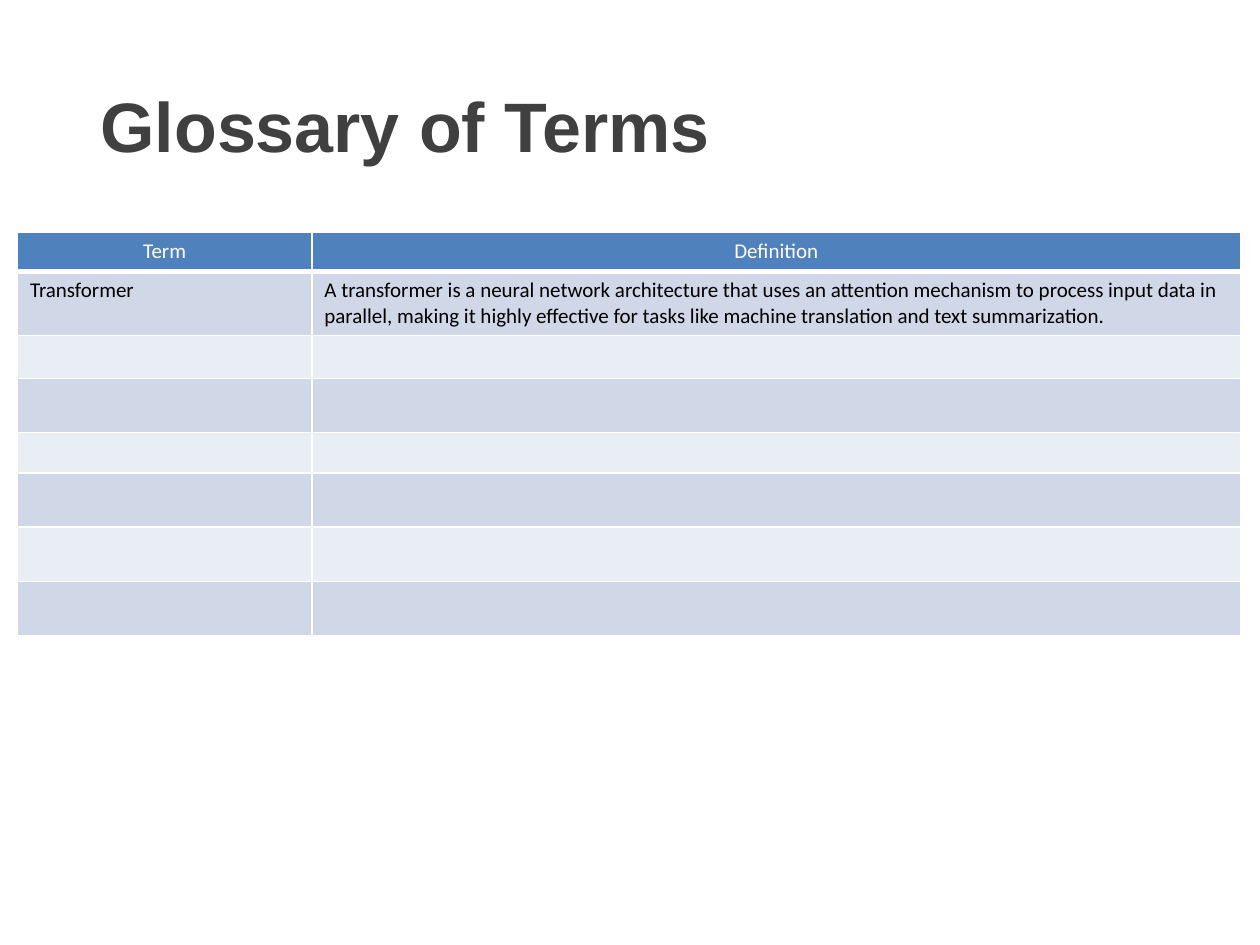
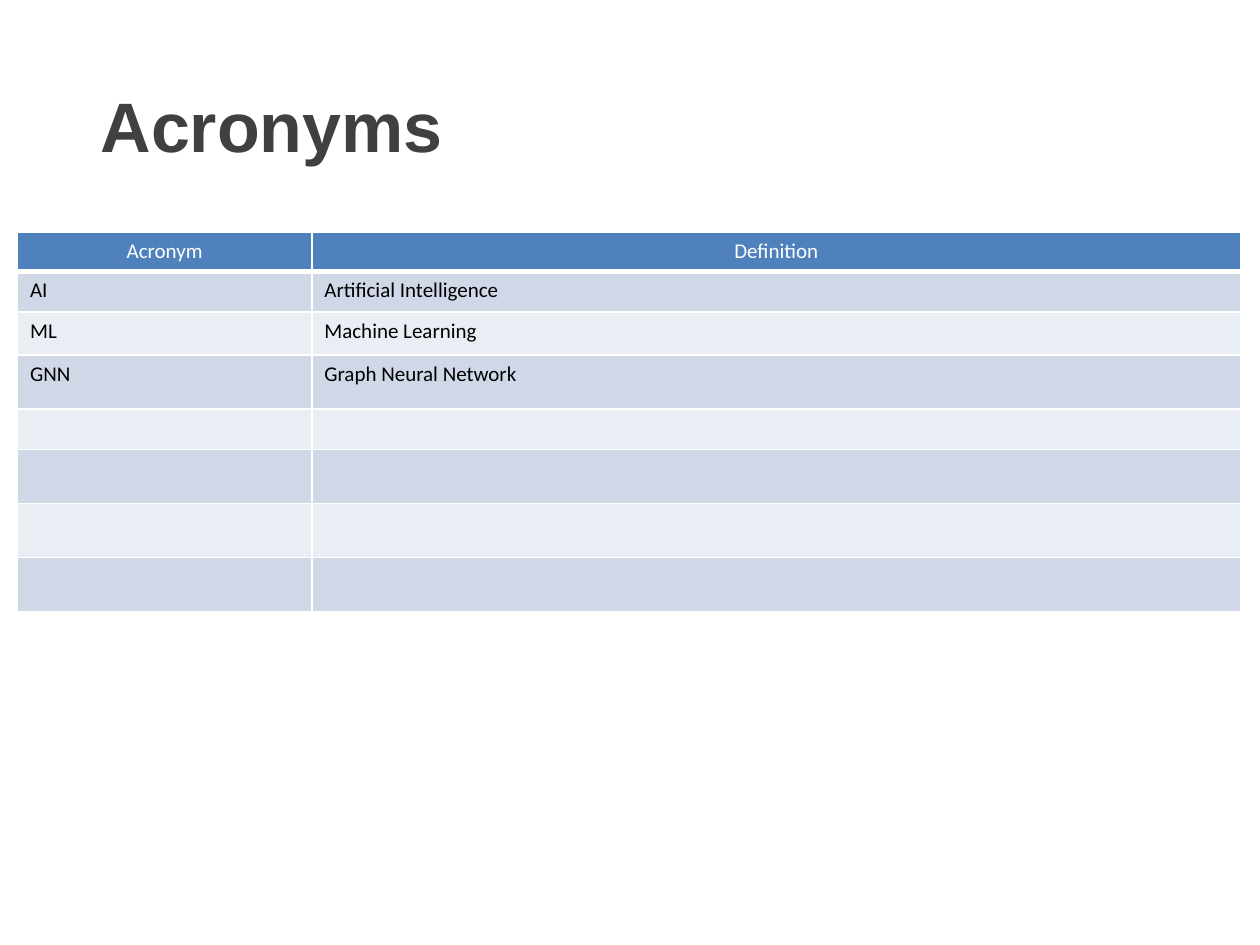
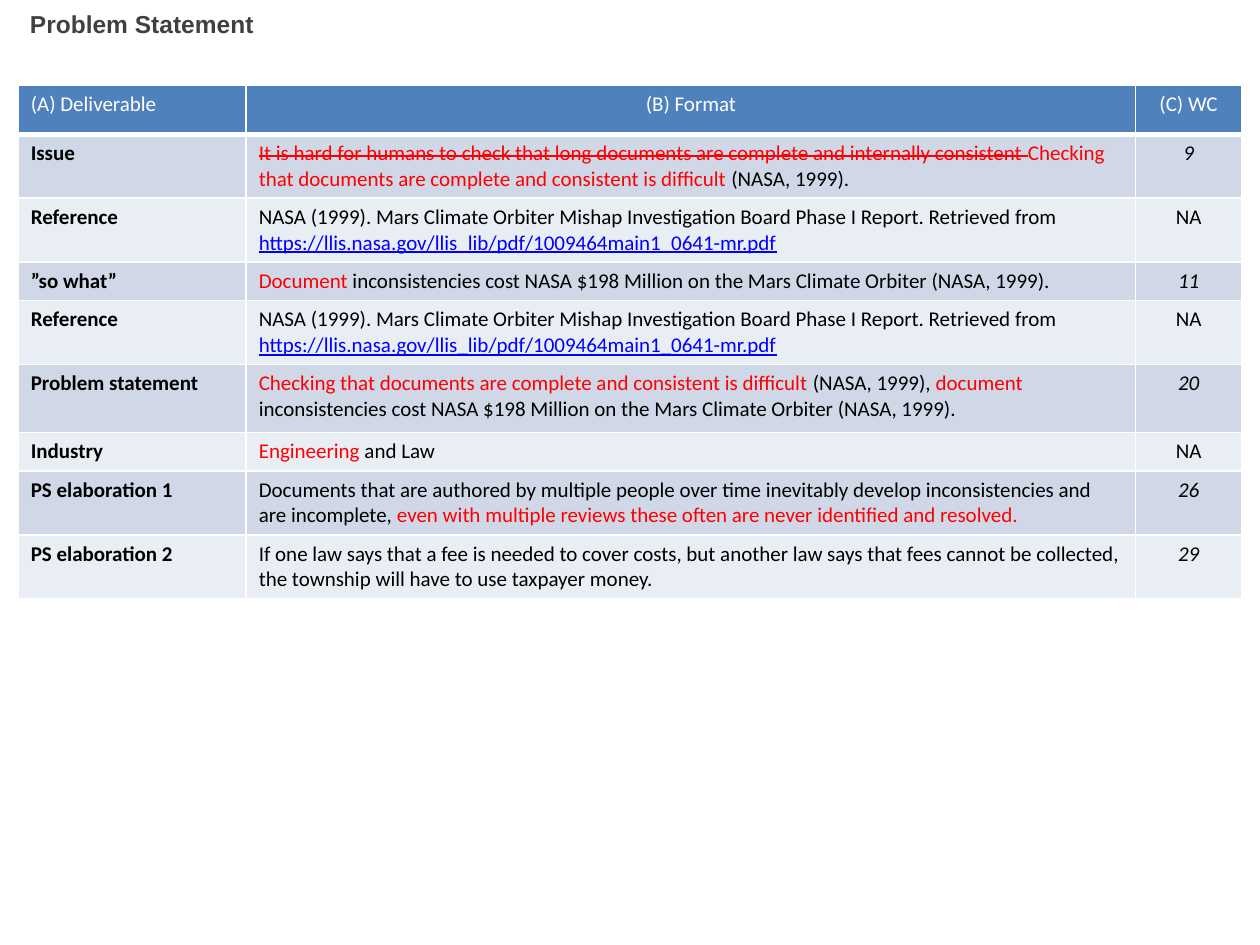
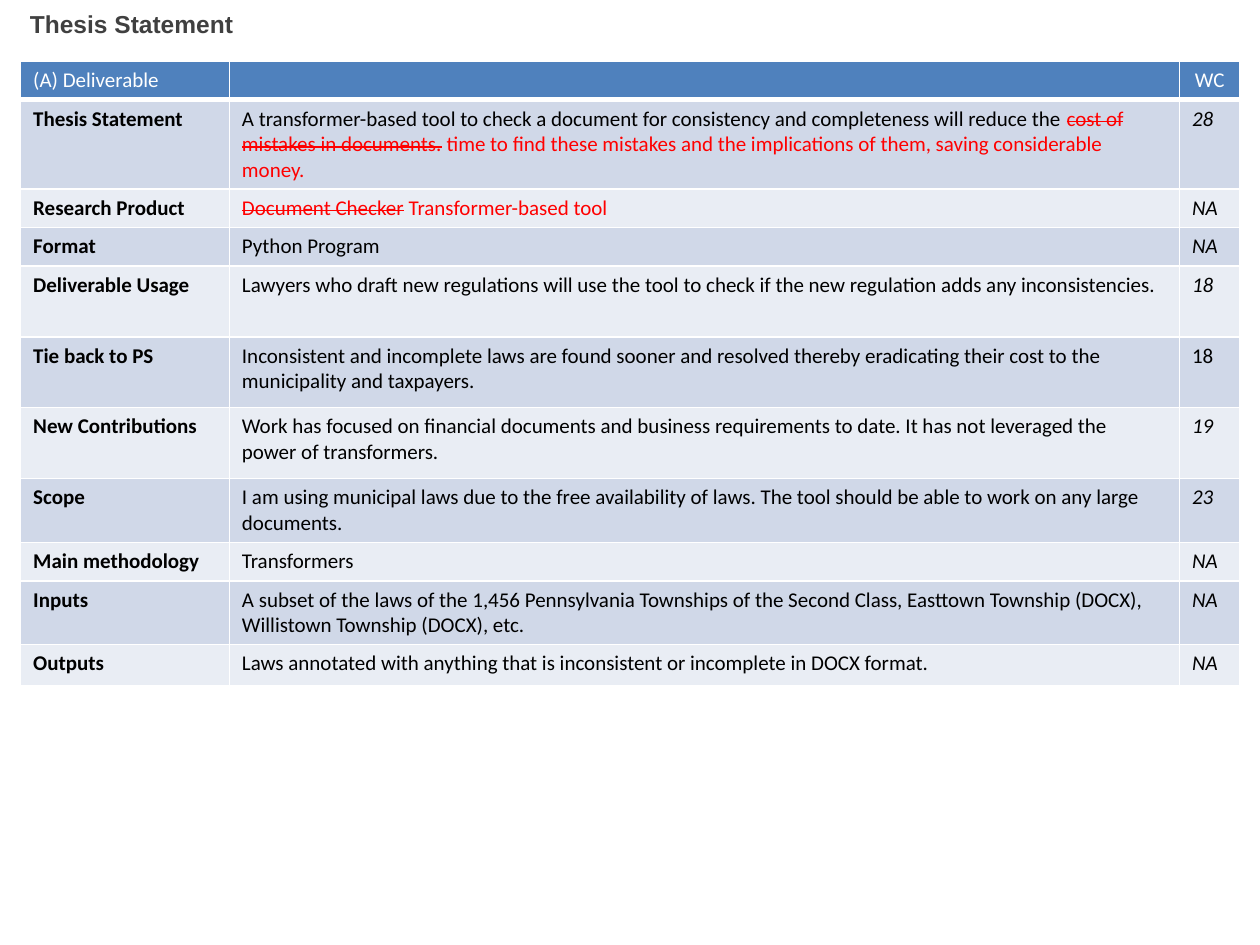
import dataclasses

import lxml.etree
import pptx
import pptx.dml.color
import pptx.enum.text
import pptx.oxml.ns
import pptx.util

Pt = pptx.util.Pt
RGB = pptx.dml.color.RGBColor.from_string
qn = pptx.oxml.ns.qn
ALIGN = pptx.enum.text.PP_ALIGN


@dataclasses.dataclass(frozen=True)
class Theme:
    title: str = "404040"
    header: str = "4F81BD"
    bands: tuple = ("D0D8E8", "E9EDF4")
    white: str = "FFFFFF"
    black: str = "000000"
    changed: str = "FF0000"
    link: str = "0000FF"
    title_font: str = "Arial"
    cell_font: str = "Calibri"
    large_title: int = 40
    small_title: int = 14
    cell_size: int = 12


theme = Theme()

# Run formats that a cell may name
STYLES = {
    "plain": {},
    "new": {"color": theme.changed},
    "cut": {"color": theme.changed, "strike": True},
    "link": {"color": theme.link, "underline": True},
    "em": {"italic": True},
}


def add_text(p, text, font=theme.cell_font, size=theme.cell_size, color=theme.black,
             bold=False, italic=False, underline=False, strike=False):
    r = p.add_run()
    r.text = text
    r.font.name = font
    r.font.size = Pt(size)
    r.font.color.rgb = RGB(color)
    r.font.bold = bold
    r.font.italic = italic
    r.font.underline = underline
    if strike:
        r.font._element.set("strike", "sngStrike")


def set_borders(cell, bottom):
    """Draw white borders, 1 pt wide except for the bottom one."""
    tc_pr = cell._tc.get_or_add_tcPr()
    for side, width in (("L", 1), ("R", 1), ("T", 1), ("B", bottom)):
        ln = lxml.etree.SubElement(tc_pr, qn(f"a:ln{side}"), w=str(Pt(width)))
        fill = lxml.etree.SubElement(ln, qn("a:solidFill"))
        lxml.etree.SubElement(fill, qn("a:srgbClr"), val=theme.white)


LARGE_TITLE = {"box": (50.4, 39.6, 620, 82.8), "size": theme.large_title}
SMALL_TITLE = {"box": (10, 0, 610.5, 49), "size": theme.small_title}
GLOSSARY_GRID = {"at": (10, 132.8), "cols": (168.2, 530.8), "align": (ALIGN.LEFT, ALIGN.LEFT),
                 "header_align": (ALIGN.CENTER, ALIGN.CENTER), "bold_labels": False}
STATEMENT_GRID = {"align": (ALIGN.LEFT, ALIGN.LEFT, ALIGN.CENTER),
                  "header_align": (ALIGN.LEFT, ALIGN.CENTER, ALIGN.CENTER), "bold_labels": True}
EMPTY = ("", "")

COST = " inconsistencies cost NASA $198 Million on the Mars Climate Orbiter (NASA, 1999)."
ISSUE = "Checking that documents are complete and consistent is difficult"
REFERENCE = ("Reference", [
    ("NASA (1999). Mars Climate Orbiter Mishap Investigation Board Phase I Report. "
     "Retrieved from ", "plain"),
    ("https://llis.nasa.gov/llis_lib/pdf/1009464main1_0641-mr.pdf", "link")], "NA")
NA = [("NA", "em")]

SLIDES = [
    {"title": "Glossary of Terms", **LARGE_TITLE, **GLOSSARY_GRID,
     "heights": (22.5, 36.5, 24.5, 31, 23, 31, 31, 31),
     "rows": [
         ("Term", "Definition"),
         ("Transformer",
          "A transformer is a neural network architecture that uses an attention mechanism to "
          "process input data in parallel, making it highly effective for tasks like machine "
          "translation and text summarization."),
         *[EMPTY] * 6]},
    {"title": "Acronyms", **LARGE_TITLE, **GLOSSARY_GRID,
     "heights": (22.5, 23, 24.5, 31, 23, 31, 31, 31),
     "rows": [
         ("Acronym", "Definition"),
         ("AI", "Artificial Intelligence"),
         ("ML", "Machine Learning"),
         ("GNN", "Graph Neural Network"),
         *[EMPTY] * 4]},
    {"title": "Problem Statement", **SMALL_TITLE, **STATEMENT_GRID,
     "at": (10.4, 48.8), "cols": (130.3, 508.3, 60.5),
     "heights": (28, 36.5, 36.5, 22, 36.5, 39, 22, 36.5, 36.5),
     "rows": [
         ("(A) Deliverable", "(B) Format", "(C) WC"),
         ("Issue", [
             ("It is hard for humans to check that long documents are complete and internally "
              "consistent ", "cut"),
             (ISSUE, "new"), (" (NASA, 1999).", "plain")], [("9", "em")]),
         REFERENCE,
         ("”so what”", [("Document", "new"), (COST, "plain")], [("11", "em")]),
         REFERENCE,
         ("Problem statement", [
             (ISSUE, "new"), (" (NASA, 1999), ", "plain"),
             ("document", "new"), (COST, "plain")], [("20", "em")]),
         ("Industry", [("Engineering", "new"), (" and Law", "plain")], "NA"),
         ("PS elaboration 1", [
             ("Documents that are authored by multiple people over time inevitably develop "
              "inconsistencies and are incomplete, ", "plain"),
             ("even with multiple reviews these often are never identified and resolved.",
              "new")], [("26", "em")]),
         ("PS elaboration 2",
          "If one law says that a fee is needed to cover costs, but another law says that fees "
          "cannot be collected, the township will have to use taxpayer money.",
          [("29", "em")])]},
    {"title": "Thesis Statement", **SMALL_TITLE, **STATEMENT_GRID,
     "align": (ALIGN.LEFT,) * 3,
     "at": (11.8, 35), "cols": (119.3, 542.9, 34.6),
     "heights": (22, 51, 22, 22, 40.5, 40.5, 40.5, 36.5, 22, 36.5, 23.5),
     "rows": [
         ("(A) Deliverable", "", "WC"),
         ("Thesis Statement", [
             ("A transformer-based tool to check a document for consistency and completeness "
              "will reduce the ", "plain"),
             ("cost of mistakes in documents.", "cut"),
             (" time to find these mistakes and the implications of them, saving considerable "
              "money.", "new")], [("28", "em")]),
         ("Research Product", [("Document Checker", "cut"),
                               (" Transformer-based tool", "new")], NA),
         ("Format", "Python Program", NA),
         ("Deliverable Usage",
          "Lawyers who draft new regulations will use the tool to check if the new regulation "
          "adds any inconsistencies.", [("18", "em")]),
         ("Tie back to PS",
          "Inconsistent and incomplete laws are found sooner and resolved thereby eradicating "
          "their cost to the municipality and taxpayers.", "18"),
         ("New Contributions",
          "Work has focused on financial documents and business requirements to date. It has "
          "not leveraged the power of transformers.", [("19", "em")]),
         ("Scope",
          "I am using municipal laws due to the free availability of laws. The tool should be "
          "able to work on any large documents.", [("23", "em")]),
         ("Main methodology", "Transformers", NA),
         ("Inputs",
          "A subset of the laws of the 1,456 Pennsylvania Townships of the Second Class, "
          "Easttown Township (DOCX), Willistown Township (DOCX), etc.", NA),
         ("Outputs",
          "Laws annotated with anything that is inconsistent or incomplete in DOCX format.",
          NA)]},
]

prs = pptx.Presentation()
prs.slide_width, prs.slide_height = Pt(720), Pt(540)

for page in SLIDES:
    s = prs.slides.add_slide(prs.slide_layouts[6])

    left, top = page["at"]
    table = s.shapes.add_table(
        len(page["rows"]), len(page["cols"]), Pt(left), Pt(top),
        Pt(sum(page["cols"])), Pt(sum(page["heights"]))).table
    table.first_row = table.horz_banding = False
    for column, width in zip(table.columns, page["cols"]):
        column.width = Pt(width)

    for i, (texts, height) in enumerate(zip(page["rows"], page["heights"])):
        table.rows[i].height = Pt(height)
        is_header = i == 0
        for j, content in enumerate(texts):
            cell = table.cell(i, j)
            set_borders(cell, bottom=3 if is_header else 1)
            cell.fill.solid()
            cell.fill.fore_color.rgb = RGB(theme.header if is_header
                                           else theme.bands[(i - 1) % 2])
            p = cell.text_frame.paragraphs[0]
            p.alignment = page["header_align" if is_header else "align"][j]
            if not content:
                # Keeps an empty row from growing to the default type size
                lxml.etree.SubElement(p._p, qn("a:endParaRPr"), sz=str(theme.cell_size * 100))
                continue
            runs = [(content, "plain")] if isinstance(content, str) else content
            for text, style in runs:
                fmt = {"color": theme.white} if is_header else STYLES[style]
                bold = page["bold_labels"] and j == 0 and not is_header
                add_text(p, text, bold=bold, **fmt)

    sp = s.shapes.add_textbox(*map(Pt, page["box"]))
    tf = sp.text_frame
    tf.word_wrap = True
    tf.margin_top = Pt(3.6 + page["size"] / 10)
    add_text(tf.paragraphs[0], page["title"], font=theme.title_font,
             size=page["size"], color=theme.title, bold=True)

prs.save("out.pptx")
